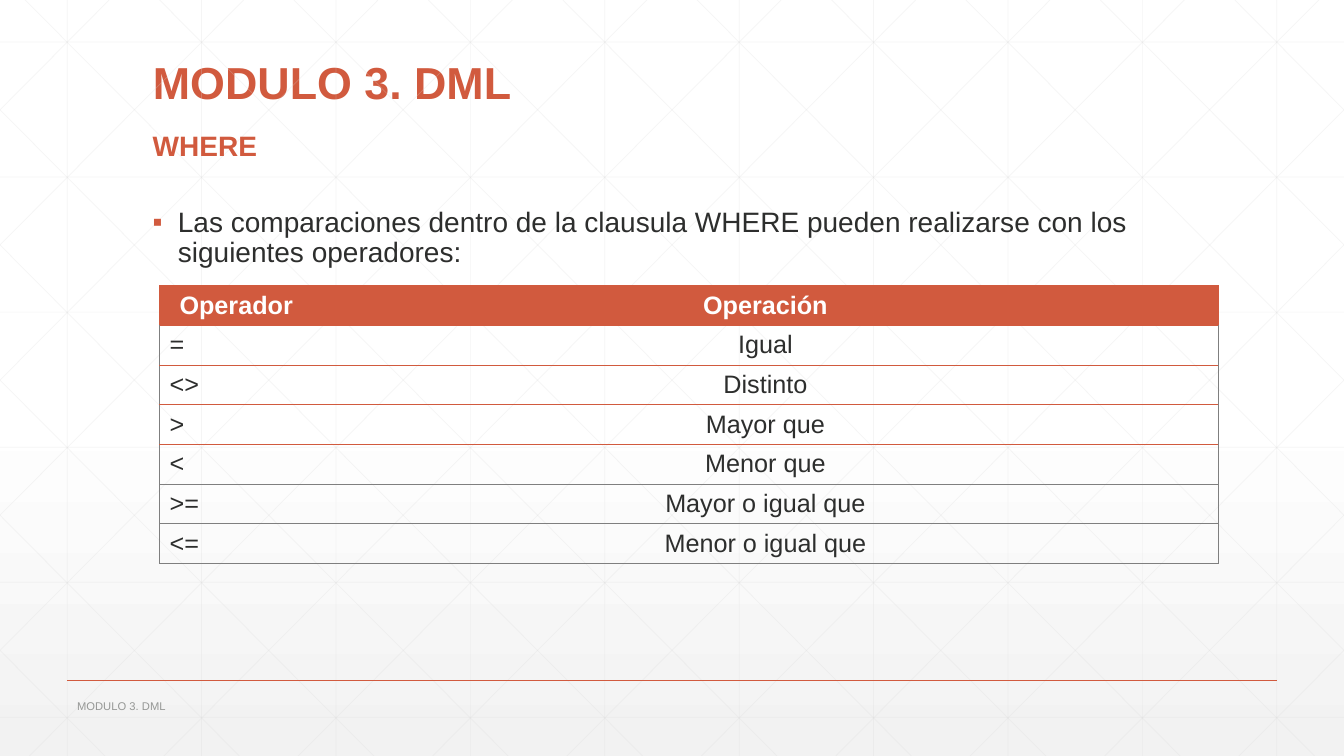
from lxml import etree
from pptx import Presentation
from pptx import util as u
from pptx.dml import color
from pptx.enum import shapes, text
from pptx.oxml import ns

COLORS = {
    "accent": "D15A3E",
    "body": "2D2E2D",
    "footer": "959795",
    "grid": "D9D9D9",
    "border": "7F7F7F",
    "white": "FFFFFF",
    "shade": "F2F2F2",
}
FONT = "Arial"
COLUMNS, ROWS = 160, 90
CELL = u.Inches(7.5) // ROWS
MODULE = 16
OPERATORS = [
    ("Operador", "Operación"),
    ("=", "Igual"),
    ("<>", "Distinto"),
    (">", "Mayor que"),
    ("<", "Menor que"),
    (">=", "Mayor o igual que"),
    ("<=", "Menor o igual que"),
]


def rgb(name):
    """Return the named colour."""
    return color.RGBColor.from_string(COLORS[name])


def units(*values):
    """Convert grid units to slide lengths."""
    return [u.Emu(round(value * CELL)) for value in values]


def add_element(parent, tag, **attributes):
    """Append a DrawingML element and return it."""
    return etree.SubElement(parent, ns.qn(tag), **attributes)


def add_line(slide, start, end, name, width, opacity=100):
    """Draw a straight line between two grid points."""
    line = slide.shapes.add_connector(
        shapes.MSO_CONNECTOR.STRAIGHT, *units(*start, *end))
    line.line.color.rgb = rgb(name)
    line.line.width = u.Pt(width)
    properties = line._element.spPr
    add_element(properties, "a:effectLst")
    if opacity < 100:
        fill = properties.find(".//" + ns.qn("a:srgbClr"))
        add_element(fill, "a:alpha", val=str(opacity * 1000))


def add_lattice(slide):
    """Draw the faint lattice of straight and diagonal lines."""
    lines = [((x, 0), (x, ROWS)) for x in range(8, COLUMNS, MODULE)]
    for index in range(6):
        y = 5 + 16.08 * index
        lines.append(((0, y), (COLUMNS, y)))
    run = 89.5
    slope = ROWS / run
    for origin in range(3 - 5 * MODULE, COLUMNS, MODULE):
        left, right = max(origin, 0), min(origin + run, COLUMNS)
        top, bottom = (left - origin) * slope, (right - origin) * slope
        lines.append(((left, top), (right, bottom)))
        lines.append(((COLUMNS - left, top), (COLUMNS - right, bottom)))
    for start, end in lines:
        add_line(slide, start, end, "grid", 0.5, opacity=25)


def format_paragraph(paragraph, size, name, bold=False, alignment="LEFT"):
    """Set the font and alignment of a paragraph."""
    paragraph.alignment = text.PP_ALIGN[alignment]
    font = paragraph.font
    font.name, font.size, font.bold = FONT, u.Pt(size), bold
    font.color.rgb = rgb(name)


def fill_text(shape, box, words, size, name, bold=False, anchor="BOTTOM", spacing=0.9):
    """Place a shape on the grid, write its text and return the paragraph."""
    shape.left, shape.top, shape.width, shape.height = units(*box)
    frame = shape.text_frame
    frame.word_wrap = True
    frame.auto_size = text.MSO_AUTO_SIZE.NONE
    frame.vertical_anchor = text.MSO_ANCHOR[anchor]
    frame.text = words
    paragraph = frame.paragraphs[0]
    paragraph.line_spacing = spacing
    format_paragraph(paragraph, size, name, bold)
    return paragraph


def add_text(slide, box, *content, **style):
    """Add a text box on the grid and return its paragraph."""
    shape = slide.shapes.add_textbox(*units(*box))
    return fill_text(shape, box, *content, **style)


def add_bullet(paragraph):
    """Give a paragraph a square bullet with a hanging indent."""
    properties = paragraph._p.get_or_add_pPr()
    indent = u.Inches(0.25)
    properties.set("marL", str(indent))
    properties.set("indent", str(-indent))
    bullet_color = add_element(properties, "a:buClr")
    add_element(bullet_color, "a:srgbClr", val=COLORS["accent"])
    add_element(properties, "a:buFont", typeface=FONT)
    add_element(properties, "a:buChar", char="▪")


def add_borders(cell, left, right, top, bottom):
    """Draw the four cell borders, leaving out those without a colour."""
    properties = cell._tc.get_or_add_tcPr()
    sides = zip("LRTB", (left, right, top, bottom))
    for position, (side, name) in enumerate(sides):
        border = etree.Element(ns.qn("a:ln" + side), w=str(u.Pt(0.5)))
        if name:
            fill = add_element(border, "a:solidFill")
            add_element(fill, "a:srgbClr", val=COLORS[name])
        else:
            add_element(border, "a:noFill")
        properties.insert(position, border)


def add_operator_table(slide):
    """Add the table of comparison operators."""
    frame = slide.shapes.add_table(len(OPERATORS), 2, *units(19, 34, 126, 33.1))
    table = frame.table
    table.horz_banding = False
    for column, width in zip(table.columns, units(18.25, 107.75)):
        column.width = width
    edges = ["accent"] * 5 + ["border"] * 3
    for row, words in enumerate(OPERATORS):
        header = row == 0
        for column, word in enumerate(words):
            cell = table.cell(row, column)
            cell.text = word
            cell.vertical_anchor = text.MSO_ANCHOR.MIDDLE
            if header:
                cell.fill.solid()
                cell.fill.fore_color.rgb = rgb("accent")
            else:
                cell.fill.background()
            format_paragraph(
                cell.text_frame.paragraphs[0], 18, "white" if header else "body",
                header, "CENTER" if header or column else "LEFT")
            side = "accent" if header else "border"
            add_borders(cell, None if column else side, side if column else None,
                        edges[row], edges[row + 1])


def set_background(slide):
    """Shade the lower half of the slide from white to light grey."""
    fill = slide.background.fill
    fill.gradient()
    fill.gradient_angle = 270
    stops = zip(fill.gradient_stops, (0.53, 1), ("white", "shade"))
    for stop, position, name in stops:
        stop.position = position
        stop.color.rgb = rgb(name)


def main():
    """Build and save the slide."""
    presentation = Presentation()
    presentation.slide_width, presentation.slide_height = units(COLUMNS, ROWS)
    slide = presentation.slides.add_slide(presentation.slide_layouts[5])
    set_background(slide)
    add_lattice(slide)
    add_line(slide, (8, 81), (152, 81), "accent", 1)
    fill_text(slide.shapes.title, (17, 5.2, 126, 8.4), "MODULO 3. DML",
              32, "accent", bold=True)
    add_text(slide, (17, 11.6, 126, 8.4), "WHERE", 20, "accent", bold=True)
    clause = add_text(
        slide, (17, 24.2, 126, 9.7),
        "Las comparaciones dentro de la clausula WHERE pueden realizarse "
        "con los siguientes operadores:", 20, "body", anchor="TOP")
    add_bullet(clause)
    add_operator_table(slide)
    add_text(slide, (8, 82.6, 80.4, 2.9), "MODULO 3. DML", 8, "footer",
             anchor="MIDDLE", spacing=1)
    presentation.save("out.pptx")


if __name__ == "__main__":
    main()
